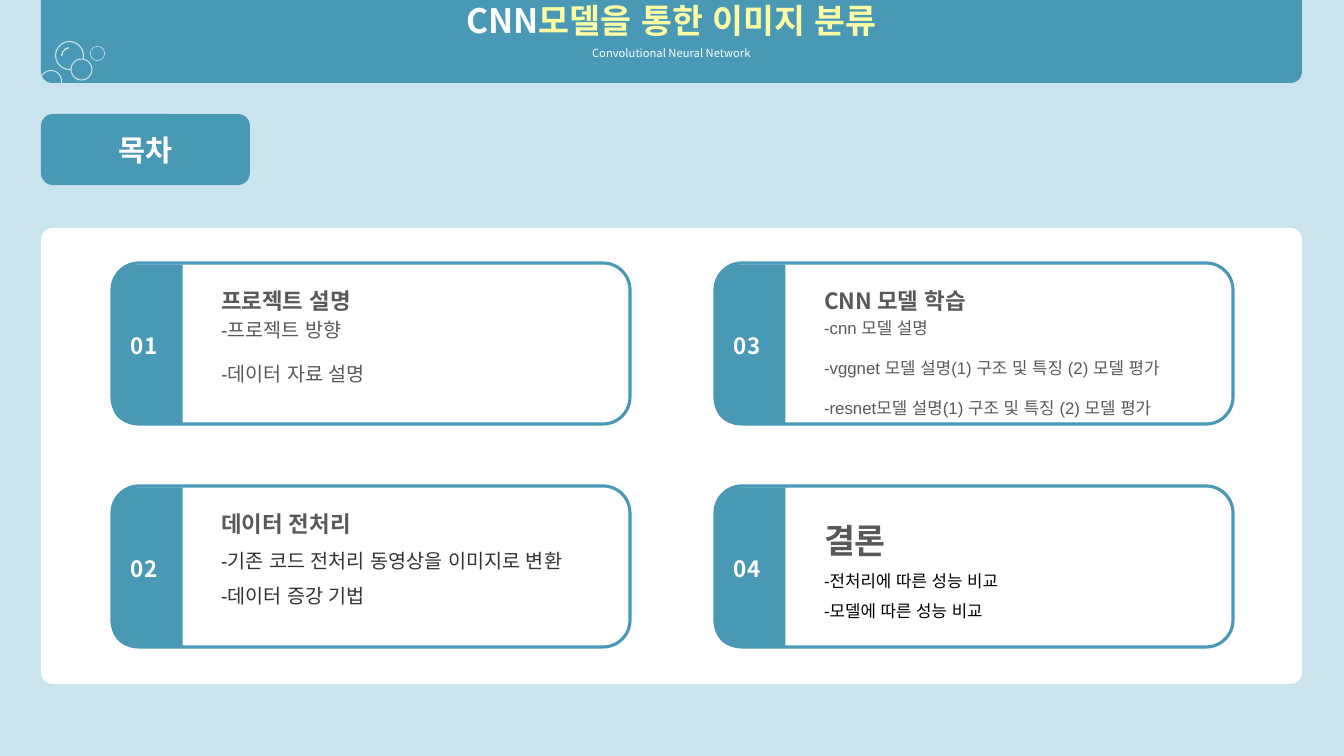
import math
from dataclasses import dataclass

import pptx
import pptx.dml.color
import pptx.enum.lang
import pptx.enum.shapes
import pptx.enum.text
import pptx.oxml
import pptx.oxml.ns
import pptx.util

EMU_PER_PX = 914400 / 100.8
SHAPE = pptx.enum.shapes.MSO_SHAPE
ALIGN = pptx.enum.text.PP_ALIGN
ANCHOR = pptx.enum.text.MSO_ANCHOR

KOREAN_FONT, LATIN_FONT = "Noto Sans CJK KR", "Arial"
TEAL, PALE, WHITE = "4999B6", "C9E4ED", "FFFFFF"
YELLOW, GREY, DARK, BLACK = "FEFDA3", "595959", "333333", "000000"


@dataclass(frozen=True)
class Run:
    text: str
    size: int
    color: str
    bold: bool = False
    font: str = KOREAN_FONT


@dataclass(frozen=True)
class Para:
    runs: tuple[Run, ...]
    spacing: float = 1.0
    before: int = 0
    after: int = 0
    align: ALIGN = ALIGN.LEFT


@dataclass(frozen=True)
class Card:
    number: str
    col: int
    row: int
    paras: tuple[Para, ...]
    list_top: int = 6


@dataclass(frozen=True)
class Bubble:
    kind: SHAPE
    x: int
    y: int
    size: int
    adj: tuple[float, ...] = ()
    fill: str = PALE
    line: str | None = None


def heading(text: str, size: int = 16) -> Para:
    return Para((Run(text, size, GREY, True),), 1.5)


def item(text: str, size: int, color: str, spacing: float,
         before: int = 0, after: int = 0) -> Para:
    return Para((Run(text, size, color, font=LATIN_FONT),), spacing, before, after)


CARDS = (
    Card("01", 0, 0, (
        heading("프로젝트 설명"),
        item("-프로젝트 방향", 14, GREY, 1.15),
        item("-데이터 자료 설명", 14, GREY, 1.15, 12, 12))),
    Card("02", 0, 1, (
        heading("데이터 전처리"),
        item("-기존 코드 전처리 동영상을 이미지로 변환", 14, DARK, 1.5),
        item("-데이터 증강 기법", 14, DARK, 1.5))),
    Card("03", 1, 0, (
        heading("CNN 모델 학습"),
        item("-cnn 모델 설명", 12, GREY, 1.15),
        item("-vggnet 모델 설명(1) 구조 및 특징 (2) 모델 평가", 12, GREY, 1.15, 12),
        item("-resnet모델 설명(1) 구조 및 특징 (2) 모델 평가", 12, GREY, 1.15, 12, 12))),
    Card("04", 1, 1, (
        heading("결론", 24),
        item("-전처리에 따른 성능 비교", 12, BLACK, 1.5),
        item("-모델에 따른 성능 비교", 12, BLACK, 1.5)), list_top=9),
)

BUBBLES = (
    Bubble(SHAPE.DONUT, 55, 41, 29, (0.038,)),
    Bubble(SHAPE.BLOCK_ARC, 61, 47, 18, (108, 157.41, 0.076)),
    Bubble(SHAPE.OVAL, 71, 59, 21, fill=TEAL, line=PALE),
    Bubble(SHAPE.DONUT, 90, 46, 15, (0.038,)),
)


def px(n: float) -> int:
    return pptx.util.Emu(round(n * EMU_PER_PX))


def rgb(color: str) -> pptx.dml.color.RGBColor:
    return pptx.dml.color.RGBColor.from_string(color)


def paint(sp, fill: str, line: str | None = None, width: float = 0.75) -> None:
    sp.shadow.inherit = False
    sp.fill.solid()
    sp.fill.fore_color.rgb = rgb(fill)
    if line:
        sp.line.color.rgb = rgb(line)
        sp.line.width = pptx.util.Pt(width)
    else:
        sp.line.fill.background()


def add_box(s, kind: SHAPE, x: int, y: int, w: int, h: int, fill: str,
            adj: tuple[float, ...] = (), line: str | None = None, width: float = 0.75):
    sp = s.shapes.add_shape(kind, px(x), px(y), px(w), px(h))
    for i, value in enumerate(adj):
        sp.adjustments[i] = value
    paint(sp, fill, line, width)
    return sp


def write(sp, paras: tuple[Para, ...], anchor: ANCHOR = ANCHOR.TOP) -> None:
    tf = sp.text_frame
    tf.word_wrap = True
    tf.auto_size = pptx.enum.text.MSO_AUTO_SIZE.NONE
    tf.vertical_anchor = anchor
    for i, para in enumerate(paras):
        p = tf.add_paragraph() if i else tf.paragraphs[0]
        p.alignment = para.align
        p.line_spacing = para.spacing
        p.space_before = pptx.util.Pt(para.before)
        p.space_after = pptx.util.Pt(para.after)
        for run in para.runs:
            r = p.add_run()
            r.text = run.text
            r.font.size = pptx.util.Pt(run.size)
            r.font.bold = run.bold
            r.font.color.rgb = rgb(run.color)
            r.font.name = run.font
            r.font.language_id = pptx.enum.lang.MSO_LANGUAGE_ID.KOREAN
            latin = r.font._element.find(pptx.oxml.ns.qn("a:latin"))
            ea = pptx.oxml.parse_xml(
                f'<a:ea {pptx.oxml.ns.nsdecls("a")} typeface="{KOREAN_FONT}"/>')
            latin.addnext(ea)


def place(ph, x: int, y: int, w: int, h: int) -> None:
    """Move a placeholder and bring it to the front."""
    ph.left, ph.top, ph.width, ph.height = px(x), px(y), px(w), px(h)
    ph.element.getparent().append(ph.element)


def remove_bullets(ph) -> None:
    for p in ph.text_frame.paragraphs:
        pPr = p._p.get_or_add_pPr()
        pPr.set("marL", "0")
        pPr.set("indent", "0")
        pPr.append(pptx.oxml.parse_xml(f'<a:buNone {pptx.oxml.ns.nsdecls("a")}/>'))


def add_cut_ring(s, cx: int, cy: int, outer: int, inner: int) -> None:
    """Draw the ring that the banner's lower left corner cuts off."""
    angles = [math.radians(a) for a in range(205, 376, 5)]
    edge = [(outer, a) for a in angles] + [(inner, a) for a in reversed(angles)]
    points = [(px(cx + r * math.cos(a)), px(cy + r * math.sin(a))) for r, a in edge]
    builder = s.shapes.build_freeform(*points[0], scale=1.0)
    builder.add_line_segments(points[1:], close=True)
    paint(builder.convert_to_shape(), PALE)


def add_banner(s) -> None:
    add_box(s, SHAPE.ROUND_2_SAME_RECTANGLE, 41, 0, 1261, 83, TEAL, (0, 0.134))
    for b in BUBBLES:
        add_box(s, b.kind, b.x, b.y, b.size, b.size, b.fill, b.adj, b.line)
    add_cut_ring(s, 51, 81, 11, 10)
    title = s.shapes.title
    place(title, 41, 0, 1261, 60)
    write(title, (
        Para((Run("CNN", 24, WHITE, True), Run("모델을 통한 이미지 분류", 24, YELLOW, True)),
             align=ALIGN.CENTER),
        Para((Run("Convolutional Neural Network", 8, WHITE),), 1.5, align=ALIGN.CENTER),
    ), ANCHOR.MIDDLE)


def add_card(s, card: Card, body) -> None:
    x, y = 112 + 603 * card.col, 263 + 223 * card.row
    add_box(s, SHAPE.ROUNDED_RECTANGLE, x, y, 518, 161, WHITE, (0.167,), TEAL, 2.25)
    tab = add_box(s, SHAPE.ROUND_2_SAME_RECTANGLE, x - 45, y + 46, 160, 71, TEAL, (0.328, 0))
    tab.rotation = 270
    place(body, x + 99, y + card.list_top, 389, 143)
    write(body, card.paras)
    remove_bullets(body)
    number = s.shapes.add_textbox(px(x + 9), px(y + 64), px(50), px(51))
    write(number, (Para((Run(card.number, 16, WHITE, True),)),))


def main() -> None:
    prs = pptx.Presentation()
    prs.slide_width, prs.slide_height = px(1344), px(756)
    comparison = prs.slide_layouts[4]
    s = prs.slides.add_slide(comparison)
    s.background.fill.solid()
    s.background.fill.fore_color.rgb = rgb(PALE)
    bodies = list(s.placeholders)[1:]

    add_box(s, SHAPE.ROUNDED_RECTANGLE, 41, 228, 1261, 456, WHITE, (0.025,))
    add_banner(s)
    for card, body in zip(CARDS, bodies):
        add_card(s, card, body)
    label = add_box(s, SHAPE.ROUNDED_RECTANGLE, 41, 114, 209, 71, TEAL, (0.168,))
    write(label, (Para((Run("목차", 21, WHITE, True),), align=ALIGN.CENTER),), ANCHOR.MIDDLE)
    prs.save("out.pptx")


if __name__ == "__main__":
    main()
